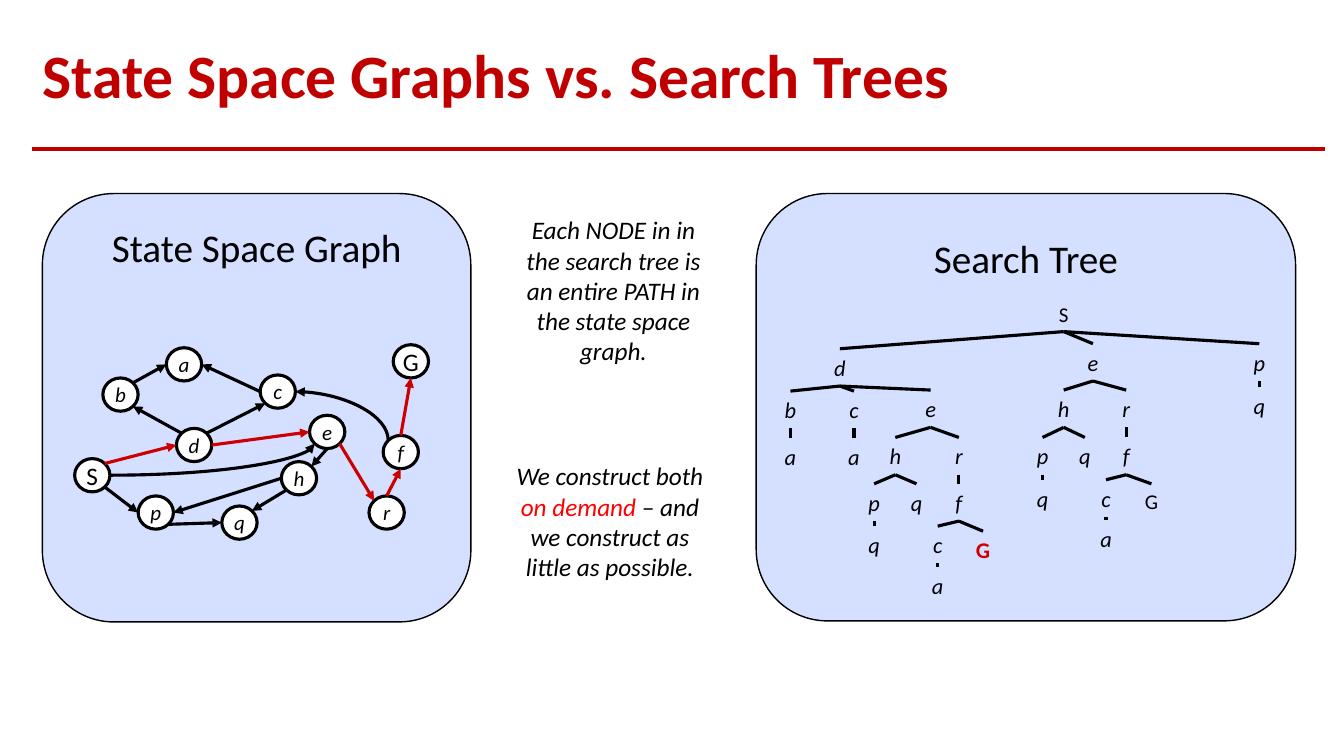
from dataclasses import dataclass
from math import sqrt

from pptx import Presentation
from pptx import util as u
from pptx.dml.color import RGBColor
from pptx.enum import shapes, text
from pptx.oxml import ns, xmlchemy

BLACK = RGBColor(0x00, 0x00, 0x00)
WHITE = RGBColor(0xFF, 0xFF, 0xFF)
TITLE_RED = RGBColor(0xC0, 0x00, 0x00)
PATH_RED = RGBColor(0xCC, 0x00, 0x00)
BRIGHT_RED = RGBColor(0xFF, 0x00, 0x00)
PANEL_BLUE = RGBColor(0xD5, 0xDF, 0xFF)
FONT = "Calibri"
NODE_W, NODE_H = 0.35, 0.33


@dataclass
class Run:
    words: str
    size: float
    color: RGBColor = BLACK
    italic: bool = False
    bold: bool = False


@dataclass
class GraphNode:
    label: str
    left: float
    top: float

    def site(self, side: str) -> tuple[float, float]:
        """Point on the circle towards a compass direction."""
        dx = ("E" in side) - ("W" in side)
        dy = ("S" in side) - ("N" in side)
        reach = 0.5 / sqrt(dx * dx + dy * dy)
        return (self.left + NODE_W * (0.5 + dx * reach),
                self.top + NODE_H * (0.5 + dy * reach))


@dataclass
class Edge:
    tail: str
    tail_side: str
    head: str
    head_side: str
    color: RGBColor = BLACK
    curved: bool = False


@dataclass
class TreeNode:
    path_from_start: str  # the last letter is the label, the rest names the parent
    center: float
    top: float
    width: float = 0.35


def write(tf, runs: list[Run], align=text.PP_ALIGN.CENTER):
    p = tf.paragraphs[0]
    p.alignment = align
    for run in runs:
        r = p.add_run()
        r.text = run.words
        r.font.name, r.font.size = FONT, u.Pt(run.size)
        r.font.color.rgb = run.color
        r.font.italic, r.font.bold = run.italic, run.bold
    return p


def add_text(left: float, top: float, width: float, height: float, runs: list[Run]):
    box = s.shapes.add_textbox(*map(u.Inches, (left, top, width, height)))
    box.text_frame.word_wrap = True
    box.text_frame.auto_size = text.MSO_AUTO_SIZE.SHAPE_TO_FIT_TEXT
    write(box.text_frame, runs)
    return box


def add_filled(parent, kind, at: tuple, fill: RGBColor, line_width: float):
    sp = parent.add_shape(kind, *map(u.Inches, at))
    sp.shadow.inherit = False
    sp.fill.solid()
    sp.fill.fore_color.rgb = fill
    sp.line.color.rgb = BLACK
    sp.line.width = u.Pt(line_width)
    return sp


def add_line(parent, start: tuple, end: tuple, color: RGBColor = BLACK,
             width: float = 2.25, arrow: bool = False,
             kind=shapes.MSO_CONNECTOR.STRAIGHT):
    cxn = parent.add_connector(kind, *map(u.Inches, (*start, *end)))
    cxn.line.color.rgb = color
    cxn.line.width = u.Pt(width)
    if arrow:
        tip = xmlchemy.OxmlElement("a:tailEnd")
        tip.set("type", "triangle")
        cxn.line._get_or_add_ln().append(tip)
    cxn._element.spPr.append(xmlchemy.OxmlElement("a:effectLst"))
    return cxn


def add_edge(parent, edge: Edge) -> None:
    start = nodes[edge.tail].site(edge.tail_side)
    end = nodes[edge.head].site(edge.head_side)
    if not edge.curved:
        add_line(parent, start, end, edge.color, arrow=True)
        return
    # A quarter curve leaves sideways; one that leaves upwards is turned 90 degrees
    turned = "N" in edge.tail_side
    if turned:
        mx, my = (start[0] + end[0]) / 2, (start[1] + end[1]) / 2
        start, end = [(mx + y - my, my - x + mx) for x, y in (start, end)]
    cxn = add_line(parent, start, end, edge.color, arrow=True,
                   kind=shapes.MSO_CONNECTOR.CURVE)
    spPr = cxn._element.spPr
    spPr.find(ns.qn("a:prstGeom")).set("prst", "curvedConnector2")
    if turned:
        spPr.find(ns.qn("a:xfrm")).set("rot", str(90 * 60000))


def add_tree_node(node: TreeNode):
    label = node.path_from_start[-1]
    if node.path_from_start == "SderfG":
        run = Run(label, 16, PATH_RED, bold=True)
    elif label.isupper():
        run = Run(label, 15)
    else:
        run = Run(label, 16, italic=True)
    height = 0.35 if run.size == 15 else 0.37
    return add_text(node.center - node.width / 2, node.top, node.width, height, [run])


prs = Presentation()
prs.slide_width, prs.slide_height = u.Inches(13.33), u.Inches(7.5)
s = prs.slides.add_slide(prs.slide_layouts[5])

# Title and rule
title = s.shapes.title
title.left, title.top, title.width, title.height = map(u.Inches, (0.32, 0.28, 12.82, 1))
title.text_frame.auto_size = text.MSO_AUTO_SIZE.NONE
title.text_frame.vertical_anchor = text.MSO_ANCHOR.MIDDLE
write(title.text_frame, [Run("State Space Graphs vs. Search Trees", 44, TITLE_RED, bold=True)],
      text.PP_ALIGN.LEFT).line_spacing = 0.9
add_line(s.shapes, (0.32, 1.48), (13.14, 1.48), TITLE_RED, 2.5)

# Panels with headings
for panel in ((0.42, 1.92, 4.25, 4.25), (7.5, 1.92, 5.35, 4.24)):
    add_filled(s.shapes, shapes.MSO_SHAPE.ROUNDED_RECTANGLE, panel, PANEL_BLUE, 1)
add_text(0.67, 2.17, 3.75, 0.57, [Run("State Space Graph", 28)])
add_text(7.51, 2.28, 5.33, 0.57, [Run("Search Tree", 28)])

# Remarks between the panels
add_text(5, 2.08, 2.17, 1.62, [Run(
    "Each NODE in in the search tree is an entire PATH in the state space graph.",
    18, italic=True)])
add_text(4.92, 4.52, 2.26, 1.31, [
    Run("We construct both ", 18, italic=True),
    Run("on demand ", 18, BRIGHT_RED, italic=True),
    Run("– and we construct as little as possible.", 18, italic=True)])

# State space graph
nodes = {n.label: n for n in (
    GraphNode("S", 0.74, 4.55), GraphNode("G", 3.9, 3.42), GraphNode("d", 1.75, 4.25),
    GraphNode("b", 1.02, 3.75), GraphNode("p", 1.37, 4.92), GraphNode("q", 2.2, 5.02),
    GraphNode("c", 2.58, 3.72), GraphNode("e", 3.07, 4.12), GraphNode("h", 2.79, 4.58),
    GraphNode("a", 1.65, 3.45), GraphNode("f", 3.8, 4.32), GraphNode("r", 3.66, 4.92))}
edges = [
    Edge("S", "SE", "p", "W"), Edge("p", "SE", "q", "W"), Edge("h", "SW", "q", "NE"),
    Edge("h", "W", "p", "E"), Edge("e", "S", "h", "NE"), Edge("d", "NW", "b", "SE"),
    Edge("b", "NE", "a", "W"), Edge("c", "W", "a", "E"), Edge("d", "NE", "c", "SW"),
    Edge("S", "NE", "d", "W", PATH_RED), Edge("d", "E", "e", "W", PATH_RED),
    Edge("e", "SE", "r", "NW", PATH_RED), Edge("r", "N", "f", "S", PATH_RED),
    Edge("f", "N", "G", "S", PATH_RED),
    Edge("f", "NW", "c", "E", curved=True), Edge("S", "E", "e", "SW", curved=True)]
graph = s.shapes.add_group_shape().shapes
for n in nodes.values():
    sp = add_filled(graph, shapes.MSO_SHAPE.FLOWCHART_CONNECTOR,
                    (n.left, n.top, NODE_W, NODE_H), WHITE, 2.25)
    sp.text_frame.word_wrap = False
    sp.text_frame.vertical_anchor = text.MSO_ANCHOR.MIDDLE
    named_end = n.label.isupper()
    write(sp.text_frame, [Run(n.label, 18 if named_end else 15, italic=not named_end)])
for e in edges:
    add_edge(graph, e)

# Search tree, parents before children
tree = [
    TreeNode("S", 10.55, 2.94, 0.9),
    TreeNode("Sd", 8.33, 3.46), TreeNode("Se", 10.84, 3.41), TreeNode("Sp", 12.49, 3.41),
    TreeNode("Sdb", 7.84, 3.88), TreeNode("Sdc", 8.47, 3.88), TreeNode("Sde", 9.23, 3.87),
    TreeNode("Seh", 10.55, 3.87), TreeNode("Ser", 11.17, 3.87), TreeNode("Spq", 12.49, 3.84),
    TreeNode("Sdba", 7.84, 4.35), TreeNode("Sdca", 8.47, 4.35),
    TreeNode("Sdeh", 8.88, 4.34), TreeNode("Sder", 9.51, 4.34),
    TreeNode("Sehp", 10.34, 4.34), TreeNode("Sehq", 10.76, 4.34), TreeNode("Serf", 11.17, 4.34),
    TreeNode("Sdehp", 8.67, 4.8), TreeNode("Sdehq", 9.09, 4.8), TreeNode("Sderf", 9.51, 4.8),
    TreeNode("Sehpq", 10.34, 4.76), TreeNode("Serfc", 10.97, 4.76),
    TreeNode("SerfG", 11.42, 4.8, 0.69),
    TreeNode("Sdehpq", 8.67, 5.22), TreeNode("Sderfc", 9.3, 5.22),
    TreeNode("SderfG", 9.75, 5.27, 0.69),
    TreeNode("Serfca", 10.97, 5.16), TreeNode("Sderfca", 9.3, 5.63)]
boxes = {n.path_from_start: add_tree_node(n) for n in tree}
for route, box in boxes.items():
    if len(route) > 1:
        branch = add_line(s.shapes, (0, 0), (1, 1))
        branch.begin_connect(boxes[route[:-1]], 2)
        branch.end_connect(box, 0)

prs.save("out.pptx")
